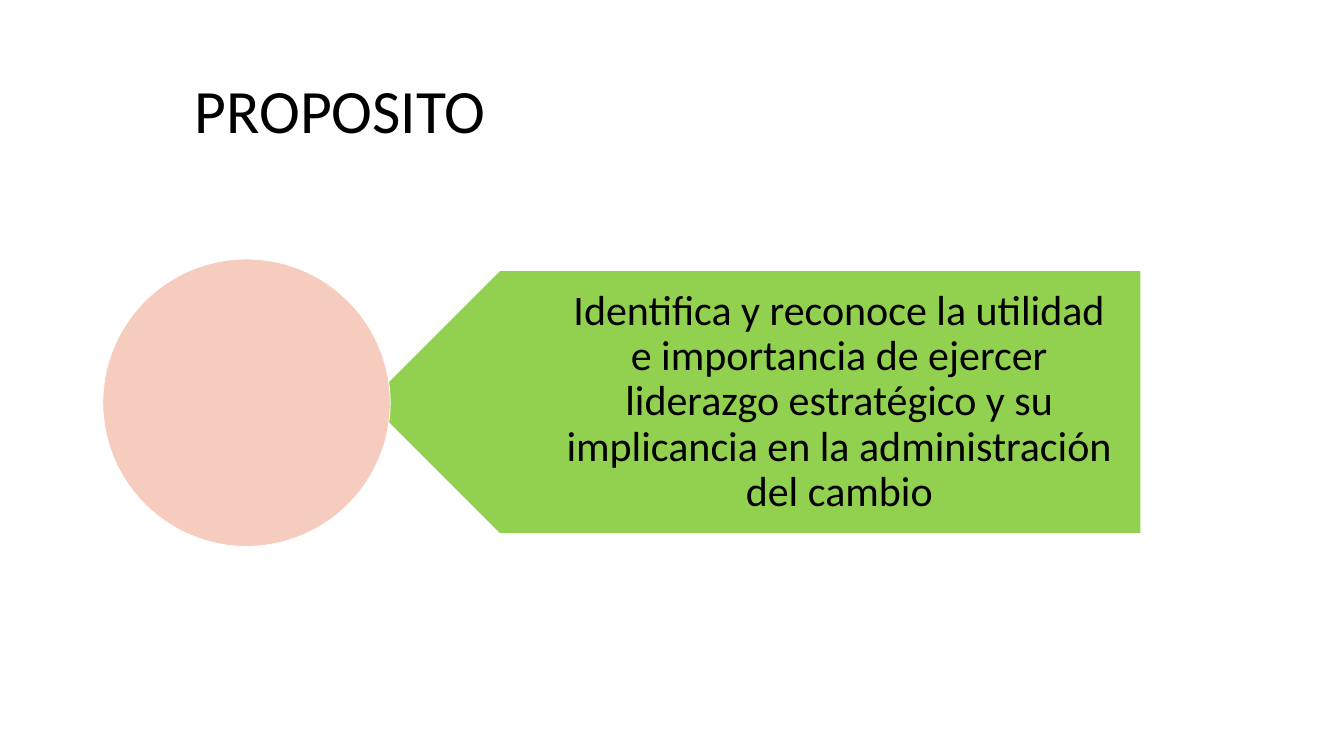
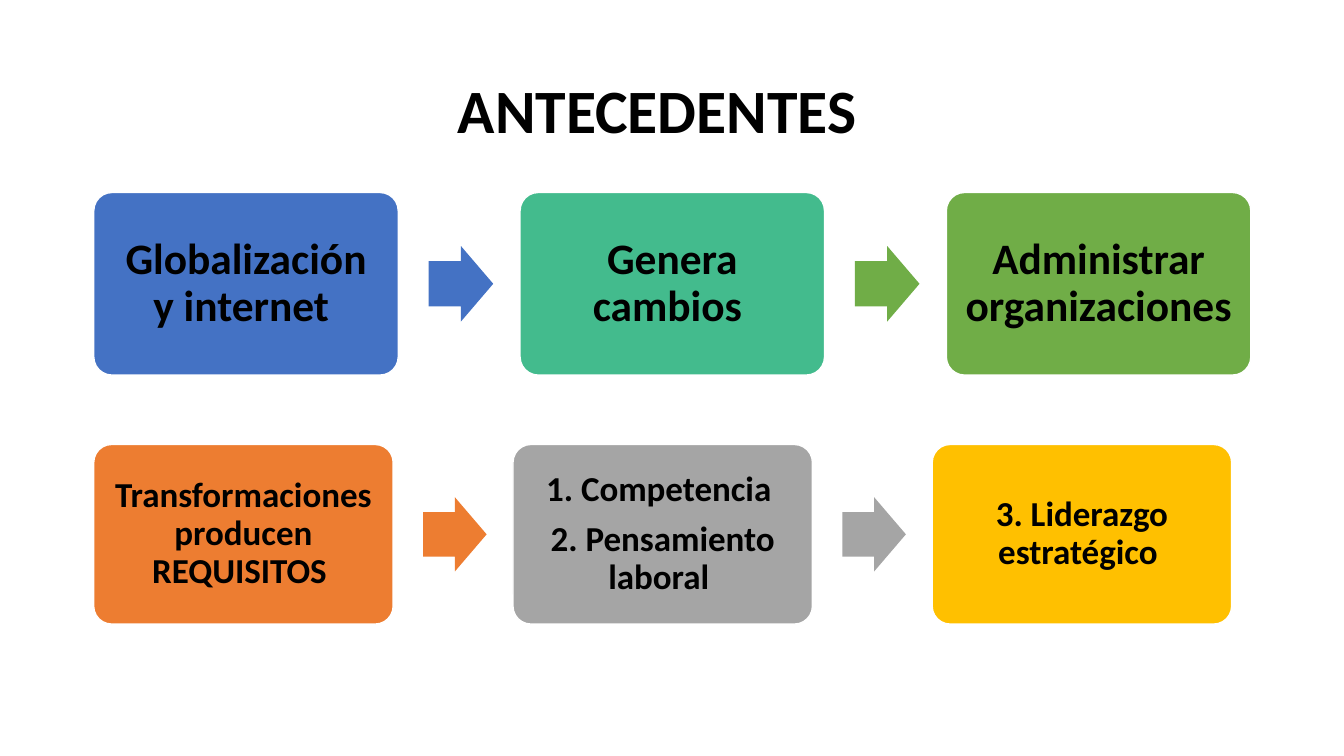
from pptx import Presentation
from pptx.dml.color import RGBColor
from pptx.enum.shapes import MSO_SHAPE as SHAPE
from pptx.enum.text import MSO_ANCHOR as ANCHOR, MSO_AUTO_SIZE as AUTO, PP_ALIGN as ALIGN
from pptx.util import Inches, Pt


def rgb(value):
    return RGBColor.from_string(value)


class Deck:
    FONT = "Calibri"
    TEXT = "000000"
    OUTLINE = "FFFFFF"
    TITLE_SIZE = 44

    def __init__(self):
        self.prs = Presentation()
        self.prs.slide_width = Inches(13.33)
        self.prs.slide_height = Inches(7.5)
        self.slide = None

    def add_slide(self, title, left, width, align=ALIGN.LEFT, bold=False):
        self.slide = self.prs.slides.add_slide(self.prs.slide_layouts[5])
        sp = self.slide.shapes.title
        sp.left, sp.top = Inches(left), Inches(0.4)
        sp.width, sp.height = Inches(width), Inches(1.45)
        self.set_text(sp, [title], self.TITLE_SIZE, (0.1, 0.05, 0.1, 0.05), align, bold)

    def set_text(self, sp, lines, size, insets, align=ALIGN.CENTER, bold=False):
        """Fill a shape with paragraphs; insets are left, top, right, bottom in inches."""
        tf = sp.text_frame
        tf.word_wrap = True
        tf.auto_size = AUTO.NONE
        tf.vertical_anchor = ANCHOR.MIDDLE
        tf.margin_left, tf.margin_top, tf.margin_right, tf.margin_bottom = map(Inches, insets)
        for i, line in enumerate(lines):
            p = tf.add_paragraph() if i else tf.paragraphs[0]
            p.text = line
            p.alignment = align
            p.line_spacing = 0.9
            p.space_before = Pt(0.35 * size if i else 0)
            p.font.name, p.font.size, p.font.bold = self.FONT, Pt(size), bold
            p.font.color.rgb = rgb(self.TEXT)

    def shape(self, kind, left, top, width, height, fill, line=None):
        sp = self.slide.shapes.add_shape(
            kind, Inches(left), Inches(top), Inches(width), Inches(height))
        sp.shadow.inherit = False
        sp.fill.solid()
        sp.fill.fore_color.rgb = rgb(fill)
        if line:
            sp.line.color.rgb = rgb(self.OUTLINE)
            sp.line.width = Pt(line)
        else:
            sp.line.fill.background()
        return sp

    def text_box(self, left, top, width, height, lines, size, insets):
        sp = self.slide.shapes.add_textbox(
            Inches(left), Inches(top), Inches(width), Inches(height))
        self.set_text(sp, lines, size, insets)

    def process_row(self, top, width, size, inset, steps):
        """Draw a row of boxes joined by arrows, all in proportion to the box width."""
        height = 0.6 * width
        arrow_w, arrow_h = 0.212 * width, 0.248 * width
        for i, (lines, fill, arrow_fill) in enumerate(steps):
            left = 0.93 + i * 1.4 * width
            box = self.shape(SHAPE.ROUNDED_RECTANGLE, left, top, width, height, fill, line=1)
            box.adjustments[0] = 0.1
            self.set_text(box, lines, size, (inset,) * 4, bold=True)
            if arrow_fill:
                arrow = self.shape(SHAPE.RIGHT_ARROW, left + 1.1 * width,
                                   top + (height - arrow_h) / 2, arrow_w, arrow_h, arrow_fill)
                arrow.adjustments[0] = 0.6
                arrow.adjustments[1] = 0.5


def purpose_slide(deck):
    deck.add_slide("PROPOSITO", 1.83, 10.88)
    pentagon = deck.shape(SHAPE.PENTAGON, 3.66, 2.69, 7.65, 2.6, "92D050")
    pentagon.rotation = 180
    deck.text_box(4.31, 2.69, 7, 2.6,
                  ["Identifica y reconoce la utilidad e importancia de ejercer liderazgo "
                   "estratégico y su implicancia en la administración del cambio"],
                  30, (1.26, 0.12, 0.23, 0.12))
    deck.shape(SHAPE.OVAL, 1.02, 2.57, 2.85, 2.85, "F6CCBE", line=0.5)


def background_slide(deck):
    deck.add_slide("ANTECEDENTES", 0.77, 11.5, ALIGN.CENTER, bold=True)
    deck.process_row(1.91, 3.02, 31, 0.13, [
        (["Globalización y internet "], "4472C4", "4472C4"),
        (["Genera cambios "], "43BB8D", "70AD47"),
        (["Administrar organizaciones"], "70AD47", None),
    ])
    deck.process_row(4.41, 2.97, 25, 0.1, [
        (["Transformaciones producen REQUISITOS "], "ED7D31", "ED7D31"),
        (["1. Competencia ", "2. Pensamiento laboral "], "A5A5A5", "A5A5A5"),
        (["3. Liderazgo estratégico "], "FFC000", None),
    ])


def main():
    deck = Deck()
    purpose_slide(deck)
    background_slide(deck)
    deck.prs.save("out.pptx")


if __name__ == "__main__":
    main()
